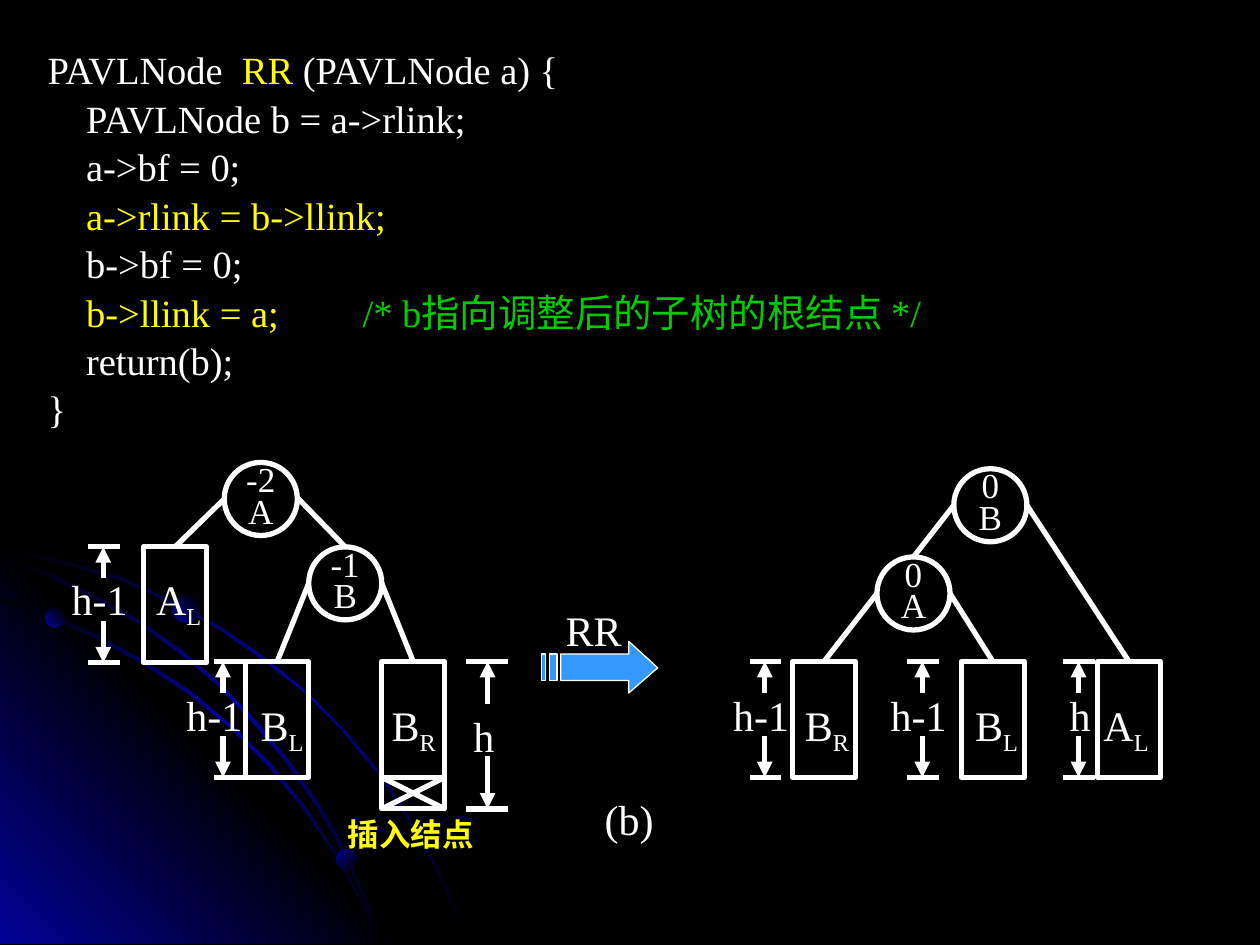
from pptx import Presentation
from pptx.dml.color import RGBColor
from pptx.enum.shapes import MSO_CONNECTOR, MSO_SHAPE
from pptx.enum.text import MSO_ANCHOR, PP_ALIGN
from pptx.oxml import parse_xml
from pptx.oxml.ns import nsdecls
from pptx.util import Inches, Pt
from lxml import etree

STRAIGHT = MSO_CONNECTOR.STRAIGHT
OVAL, RECT = MSO_SHAPE.OVAL, MSO_SHAPE.RECTANGLE
MIDDLE = MSO_ANCHOR.MIDDLE
CENTER, JUSTIFY = PP_ALIGN.CENTER, PP_ALIGN.JUSTIFY
BLACK = RGBColor(0x00, 0x00, 0x00)
WHITE = RGBColor(0xFF, 0xFF, 0xFF)
YELLOW = RGBColor(0xFF, 0xFF, 0x00)
GREEN = RGBColor(0x00, 0xCC, 0x00)
NAVY = RGBColor(0x01, 0x01, 0x99)
SKY = RGBColor(0x33, 0x99, 0xFF)
FONT = "Times New Roman"
SIDE, BOX_W, BOX_H = 0.58, 0.5, 0.92
BASE = 5.25

prs = Presentation()
prs.slide_width, prs.slide_height = Inches(10), Inches(7.5)
slide = prs.slides.add_slide(prs.slide_layouts[6])
slide.background.fill.solid()
slide.background.fill.fore_color.rgb = BLACK
shapes = slide.shapes


def line(x1, y1, x2, y2, arrow=False):
    link = shapes.add_connector(STRAIGHT, Inches(x1), Inches(y1), Inches(x2), Inches(y2))
    link.line.color.rgb = WHITE
    link.line.width = Pt(3)
    if arrow:
        tail = parse_xml(f'<a:tailEnd {nsdecls("a")} type="triangle"/>')
        link.line._get_or_add_ln().append(tail)
    etree.SubElement(link._element.spPr, "{http://schemas.openxmlformats.org/drawingml/2006/main}effectLst")


def label(text, x, y, w, sub="", size=24, color=WHITE, bold=None):
    box = shapes.add_textbox(Inches(x), Inches(y), Inches(w), Inches(size / 48))
    box.text_frame.word_wrap = False
    para = box.text_frame.paragraphs[0]
    for part in filter(None, (text, sub)):
        run = para.add_run()
        run.text = part
        run.font.name, run.font.size, run.font.bold = FONT, Pt(size), bold
        run.font.color.rgb = color
        if part == sub:
            run.font._element.set("baseline", "-25000")


# Background arcs, corner glow and dots
GLOW = [NAVY, BLACK, NAVY]
BAND = [BLACK, NAVY, BLACK]
DOT = [NAVY, BLACK]
curves = [
    (BAND, 45, [(0.57, 4.47), (0.28, 4.41), (0, 4.35), (0, 4.38), (0.28, 4.43), (0.56, 4.49),
                (0.97, 4.61), (1.35, 4.78), (1.73, 4.99), (2.08, 5.23), (2.41, 5.49),
                (2.71, 5.79), (2.98, 6.12), (3.23, 6.49), (3.37, 6.73), (3.5, 6.98),
                (3.6, 7.23), (3.7, 7.49), (3.72, 7.49), (3.62, 7.23), (3.52, 6.98),
                (3.39, 6.73), (3.25, 6.48), (3, 6.11), (2.72, 5.78), (2.42, 5.48),
                (2.09, 5.21), (1.74, 4.97), (1.36, 4.77), (0.98, 4.59)]),
    (GLOW, 315, [(3.22, 7.49), (0, 7.49), (0, 4.27)]),
    (BAND, 45, [(2.85, 7.14), (2.94, 7.32), (3.01, 7.49), (3.03, 7.49), (2.96, 7.3),
                (2.86, 7.12), (2.66, 6.76), (2.42, 6.4), (2.15, 6.06), (1.84, 5.76),
                (1.52, 5.49), (1.17, 5.26), (0.79, 5.05), (0.41, 4.88), (0, 4.75),
                (0, 4.77), (0.39, 4.9), (0.77, 5.07), (1.15, 5.28), (1.5, 5.51),
                (1.83, 5.78), (2.13, 6.08), (2.4, 6.41), (2.65, 6.77)]),
    (BAND, 45, [(0, 4.42), (0, 4.44), (0.36, 4.57), (0.74, 4.75), (1.09, 4.94), (1.42, 5.18),
                (1.73, 5.44), (2.02, 5.75), (2.27, 6.05), (2.52, 6.41), (2.67, 6.67),
                (2.8, 6.94), (2.92, 7.22), (3.01, 7.49), (3.03, 7.49), (2.94, 7.2),
                (2.82, 6.93), (2.69, 6.65), (2.54, 6.39), (2.29, 6.03), (2.04, 5.73),
                (1.75, 5.43), (1.44, 5.16), (1.11, 4.93), (0.76, 4.73), (0.39, 4.55)]),
]
decor = []
for tones, angle, points in curves:
    spots = [(Inches(x), Inches(y)) for x, y in points]
    form = shapes.build_freeform(*spots[0])
    form.add_line_segments(spots[1:])
    decor.append((form.convert_to_shape(), tones, angle))
for x, y, size, angle in [(0.36, 4.83, 0.15, 315), (2.67, 6.74, 0.16, 45), (1.37, 4.73, 0.21, 315)]:
    dot = shapes.add_shape(OVAL, Inches(x), Inches(y), Inches(size), Inches(size))
    decor.append((dot, DOT, angle))
for shape, tones, angle in decor:
    shape.shadow.inherit = False
    shape.line.fill.background()
    shape.fill.solid()
    stops = "".join(f'<a:gs pos="{100000 * i // (len(tones) - 1)}"><a:srgbClr val="{tone}"/></a:gs>'
                    for i, tone in enumerate(tones))
    grad = parse_xml(f'<a:gradFill {nsdecls("a")} rotWithShape="1"><a:gsLst>{stops}</a:gsLst>'
                     f'<a:lin ang="{angle * 60000}" scaled="1"/></a:gradFill>')
    props = shape._element.spPr
    props.replace(props.find("{*}solidFill"), grad)

# Code listing
code = [
    [("PAVLNode  ", WHITE), ("RR", YELLOW), (" (PAVLNode a) {", WHITE)],
    [("    PAVLNode b = a->rlink;", WHITE)],
    [("    a->bf = 0;", WHITE)],
    [("    a->rlink = b->llink;", YELLOW)],
    [("    b->bf = 0;", WHITE)],
    [("    b->llink = a;\t\t", YELLOW), ("/* b指向调整后的子树的根结点 */", GREEN)],
    [("    return(b);", WHITE)],
    [("}", WHITE)],
]
box = shapes.add_textbox(Inches(0.28), Inches(0.3), Inches(9.45), Inches(3.06))
frame = box.text_frame
frame.word_wrap = True
for i, parts in enumerate(code):
    para = frame.paragraphs[0] if i == 0 else frame.add_paragraph()
    para.alignment = JUSTIFY
    para.line_spacing = 1.05
    for text, color in parts:
        run = para.add_run()
        run.text = text
        run.font.name, run.font.size = FONT, Pt(22)
        run.font.color.rgb = color

# Tree nodes: balance factor over name
for x, y, text in [(1.78, 3.67, "-2\nA"), (2.45, 4.34, "-1\nB"), (6.96, 4.42, "0\nA"), (7.57, 3.72, "0\nB")]:
    node = shapes.add_shape(OVAL, Inches(x), Inches(y), Inches(SIDE), Inches(SIDE))
    node.shadow.inherit = False
    node.fill.background()
    node.line.color.rgb = WHITE
    node.line.width = Pt(3)
    frame = node.text_frame
    frame.text = text
    frame.word_wrap = False
    frame.vertical_anchor = MIDDLE
    for para in frame.paragraphs:
        para.alignment = CENTER
        para.line_spacing = 0.75
        para.font.name, para.font.size = FONT, Pt(20)
        para.font.color.rgb = WHITE

# Subtrees: left, top, height, name, side, label left, label top
for x, y, h, name, sub, left, top in [
    (1.14, 4.34, BOX_H, "A", "L", 1.14, 4.5),
    (1.95, BASE, BOX_H, "B", "L", 1.97, 5.5),
    (3.03, BASE, 1.17, "B", "R", 3.01, 5.5),
    (6.29, BASE, BOX_H, "B", "R", 6.29, 5.5),
    (7.63, BASE, BOX_H, "B", "L", 7.64, 5.5),
    (8.71, BASE, BOX_H, "A", "L", 8.66, 5.5),
]:
    tree = shapes.add_shape(RECT, Inches(x), Inches(y), Inches(BOX_W), Inches(h))
    tree.shadow.inherit = False
    tree.fill.background()
    tree.line.color.rgb = WHITE
    tree.line.width = Pt(3)
    label(name, left, top, 0.57, sub)

# Tree edges and the crossed cell of the inserted node
for ends in [
    (1.78, 3.96, 1.39, 4.34), (2.37, 3.96, 2.74, 4.34), (2.45, 4.63, 2.2, BASE),
    (3.03, 4.63, 3.28, BASE), (7.57, 4.01, 7.25, 4.42), (8.15, 4.01, 8.96, BASE),
    (6.96, 4.71, 6.54, BASE), (7.54, 4.71, 7.88, BASE),
    (3.53, 6.17, 3.03, 6.17), (3.53, 6.17, 3.03, 6.42), (3.53, 6.42, 3.03, 6.17),
]:
    line(*ends)

# Height marks: left, top, width, height, shaft, upper and lower arrow, label and its offset
for x, y, w, h, mid, up, down, text, dx, dy in [
    (0.7, 4.34, 0.25, BOX_H, 0.12, 0.25, 0.33, "h-1", -0.23, 0.16),
    (1.7, BASE, 0.25, BOX_H, 0.07, 0.25, 0.33, "h-1", -0.32, 0.17),
    (3.7, BASE, 0.33, 1.17, 0.17, 0.34, 0.42, "h", -0.04, 0.34),
    (5.95, BASE, 0.25, BOX_H, 0.12, 0.25, 0.33, "h-1", -0.23, 0.17),
    (7.2, BASE, 0.25, BOX_H, 0.12, 0.25, 0.33, "h-1", -0.23, 0.17),
    (8.44, BASE, 0.25, BOX_H, 0.12, 0.25, 0.33, "h", -0.05, 0.17),
]:
    end, shaft = y + h, x + mid
    line(x + w, y, x, y)
    line(x + w, end, x, end)
    line(shaft, y + up, shaft, y, True)
    line(shaft, end - down, shaft, end, True)
    label(text, x + dx, y + dy, 0.37 if text == "h" else 0.65)

# Striped arrow between the trees
head = [(4.99, 5.09), (4.99, 5.19), (4.45, 5.19), (4.45, 5.4), (4.99, 5.4), (4.99, 5.5), (5.22, 5.3)]
bars = [[(a, 5.19), (a, 5.4), (b, 5.4), (b, 5.19)] for a, b in [(4.36, 4.42), (4.3, 4.33)]]
form = shapes.build_freeform(Inches(head[0][0]), Inches(head[0][1]))
for i, points in enumerate([head] + bars):
    spots = [(Inches(x), Inches(y)) for x, y in points]
    if i:
        form.move_to(*spots[0])
    form.add_line_segments(spots[1:])
arrow = form.convert_to_shape()
arrow.shadow.inherit = False
arrow.fill.solid()
arrow.fill.fore_color.rgb = SKY
arrow.line.color.rgb = WHITE
arrow.line.width = Pt(0.75)

# Captions
label("RR", 4.39, 4.75, 0.65)
label("(b)", 4.7, 6.25, 0.59)
label("插入结点", 2.66, 6.42, 1.21, size=18, color=YELLOW, bold=True)

prs.save("out.pptx")
